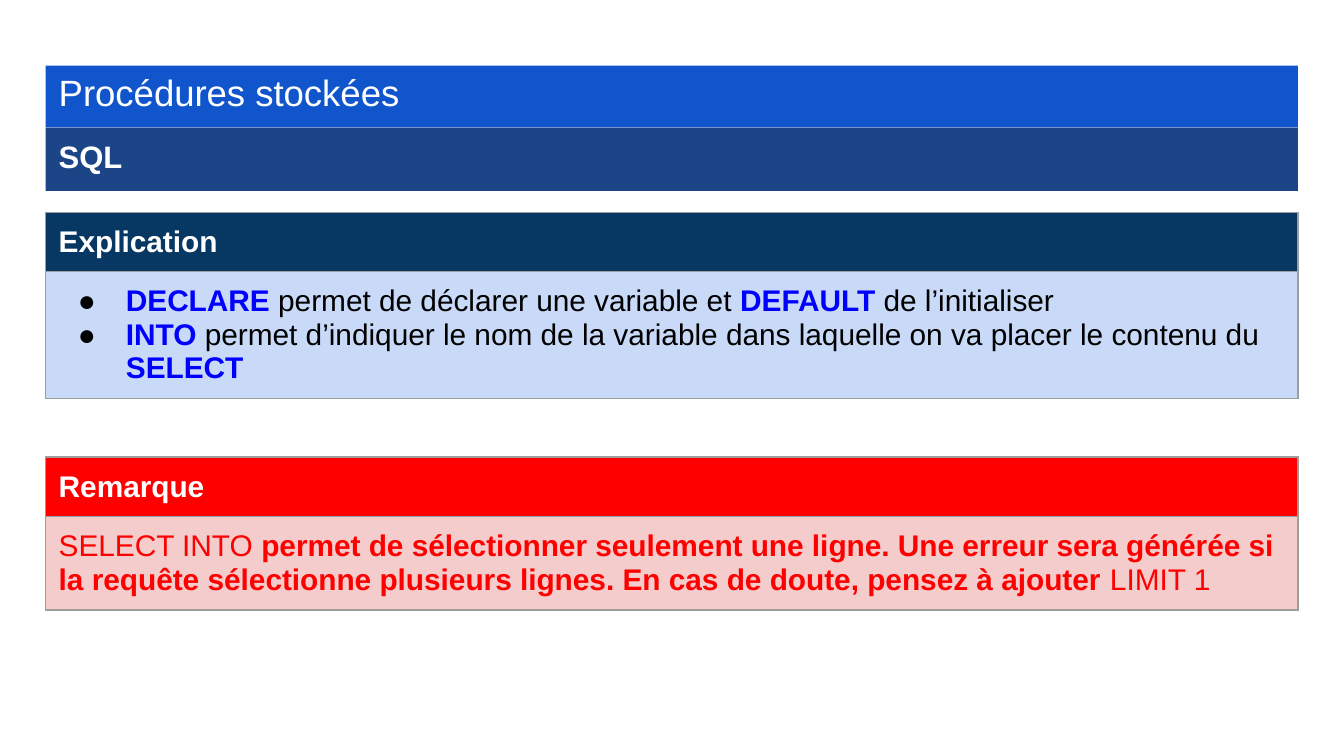
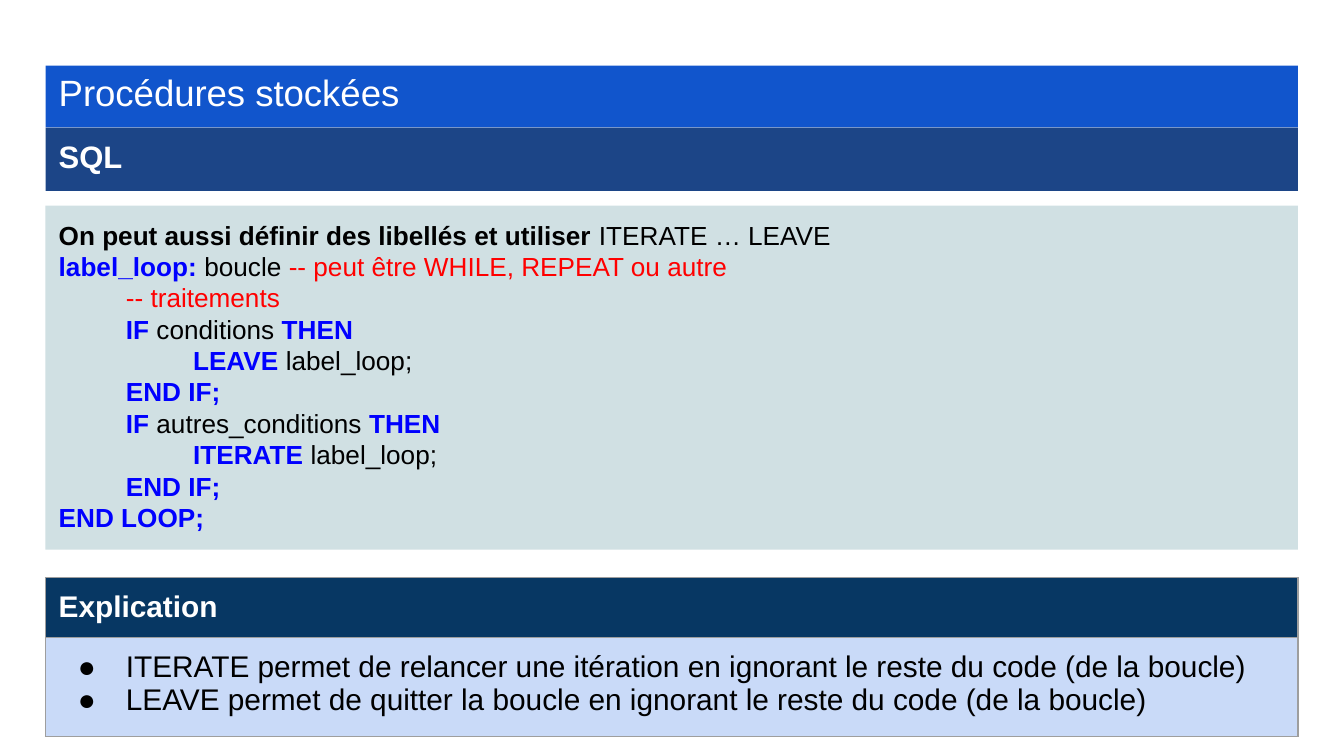
"""Build two slides on SQL stored procedures with title bands, a code panel and framed notes."""
from lxml.etree import SubElement
from pptx import Presentation
from pptx.dml.color import RGBColor
from pptx.enum.shapes import MSO_SHAPE as Shape
from pptx.enum.text import MSO_ANCHOR as Anchor, MSO_AUTO_SIZE as AutoSize, PP_ALIGN as Align
from pptx.oxml.ns import qn
from pptx.util import Cm, Pt

LEFT, WIDTH, INSET = 0.86, 23.67, 0.25
STEP, HANG = 1.27, -0.91
HEADER_HEIGHT = 1.13
BLACK, WHITE, RED, BLUE, GREY = "000000", "FFFFFF", "FF0000", "0000FF", "9E9E9E"
TITLE_BAND, SUBTITLE_BAND, CODE_PANEL = "1155CC", "1C4587", "D0E0E3"
EXPLANATION = ("073763", "C9DAF8")
REMARK = (RED, "F4CCCC")

PLAIN = {}
STRONG = {"bold": True}
KEYWORD = {"color": BLUE, "bold": True}
COMMENT = {"color": RED}
WARNING = {"color": RED, "bold": True}


def rgb(value):
    return RGBColor.from_string(value)


def add_text(para, text, size=16, color=BLACK, bold=False):
    span = para.add_run()
    span.text = text
    font = span.font
    font.name, font.size, font.bold = "Arial", Pt(size), bold
    font.color.rgb = rgb(color)


def set_margins(box):
    box.margin_left = box.margin_right = box.margin_top = box.margin_bottom = Cm(INSET)


def set_indent(para, left=0, first=0, bullet=False):
    props = para._p.get_or_add_pPr()
    props.set("marL", str(Cm(left)))
    props.set("indent", str(Cm(first)))
    if bullet:
        color = SubElement(props, qn("a:buClr"))
        SubElement(color, qn("a:srgbClr"), val=BLACK)
        SubElement(props, qn("a:buFont"), typeface="Arial")
        SubElement(props, qn("a:buChar"), char="●")
    else:
        SubElement(props, qn("a:buNone"))


def add_borders(cell):
    props = cell._tc.get_or_add_tcPr()
    for side in ("lnL", "lnR", "lnT", "lnB"):
        line = SubElement(props, qn(f"a:{side}"), w=str(Pt(0.75)))
        fill = SubElement(line, qn("a:solidFill"))
        SubElement(fill, qn("a:srgbClr"), val=GREY)


def write_lines(frame, lines, size=16, bullet=False):
    for number, (level, first, spans) in enumerate(lines):
        para = frame.add_paragraph() if number else frame.paragraphs[0]
        para.alignment = Align.LEFT
        set_indent(para, level, first, bullet)
        for text, style in spans:
            add_text(para, text, size=size, **style)


class Lesson:
    """Hold the deck, its style and the current slide."""

    def __init__(self):
        self.deck = Presentation()
        self.deck.slide_width, self.deck.slide_height = Cm(25.4), Cm(14.29)

    def start_slide(self, title, subtitle):
        self.page = self.deck.slides.add_slide(self.deck.slide_layouts[1])
        heading, body = self.page.placeholders
        self.band(heading, title, 1.24, 1.17, TITLE_BAND, 0.8, size=19.6)
        self.band(body, subtitle, 2.41, 1.2, SUBTITLE_BAND, 0.95, size=16.6, bold=True)

    def place(self, box, top, height, fill):
        box.left, box.top, box.width, box.height = Cm(LEFT), Cm(top), Cm(WIDTH), Cm(height)
        box.fill.solid()
        box.fill.fore_color.rgb = rgb(fill)
        box.line.fill.background()
        frame = box.text_frame
        frame.word_wrap, frame.auto_size = True, AutoSize.NONE
        frame.vertical_anchor = Anchor.TOP
        set_margins(frame)
        return frame

    def band(self, box, text, top, height, fill, spacing, **style):
        para = self.place(box, top, height, fill).paragraphs[0]
        para.alignment = Align.LEFT
        para.line_spacing, para.space_before = spacing, Pt(0)
        set_indent(para)
        add_text(para, text, color=WHITE, **style)

    def code(self, top, height, lines):
        box = self.page.shapes.add_shape(Shape.RECTANGLE, 0, 0, Cm(WIDTH), Cm(height))
        box.shadow.inherit = False
        write_lines(self.place(box, top, height, CODE_PANEL), lines, size=14)

    def note(self, title, top, body_height, fills, lines, bullet=False):
        heights = (HEADER_HEIGHT, body_height)
        holder = self.page.shapes.add_table(2, 1, Cm(LEFT), Cm(top), Cm(WIDTH), Cm(sum(heights)))
        table = holder.table
        table.first_row = table.horz_banding = False
        header = [(0, 0, [(title, {"color": WHITE, "bold": True})])]
        for index, content in enumerate((header, lines)):
            table.rows[index].height = Cm(heights[index])
            cell = table.cell(index, 0)
            set_margins(cell)
            add_borders(cell)
            cell.fill.solid()
            cell.fill.fore_color.rgb = rgb(fills[index])
            write_lines(cell.text_frame, content, bullet=bullet and index == 1)


def bullets(*items):
    return [(STEP, HANG, spans) for spans in items]


def branch(condition, action):
    return [
        (STEP, 0, [("IF ", KEYWORD), (condition, PLAIN), (" THEN", KEYWORD)]),
        (STEP, STEP, [(f"{action} ", KEYWORD), ("label_loop;", PLAIN)]),
        (STEP, 0, [("END IF;", KEYWORD)]),
    ]


lesson = Lesson()

lesson.start_slide("Procédures stockées", "SQL")
lesson.note("Explication", 4.01, 2.39, EXPLANATION, bullets(
    [("DECLARE", KEYWORD), (" permet de déclarer une variable et ", PLAIN),
     ("DEFAULT", KEYWORD), (" de l’initialiser", PLAIN)],
    [("INTO", KEYWORD),
     (" permet d’indiquer le nom de la variable dans laquelle on va placer le contenu du ", PLAIN),
     ("SELECT", KEYWORD)],
), bullet=True)
lesson.note("Remarque", 8.64, 1.76, REMARK, [(0, 0, [
    ("SELECT INTO ", COMMENT),
    ("permet de sélectionner seulement une ligne. Une erreur sera générée si la requête "
     "sélectionne plusieurs lignes. En cas de doute, pensez à ajouter", WARNING),
    (" LIMIT 1", COMMENT),
])])

lesson.start_slide("Procédures stockées", "SQL")
lesson.code(3.89, 6.5, [
    (0, 0, [("On peut aussi définir des libellés et utiliser ", STRONG),
            ("ITERATE … LEAVE", PLAIN)]),
    (0, 0, [("label_loop: ", KEYWORD), ("boucle ", PLAIN),
            ("-- peut être WHILE, REPEAT ou autre", COMMENT)]),
    (STEP, 0, [("-- traitements", COMMENT)]),
    *branch("conditions", "LEAVE"),
    *branch("autres_conditions", "ITERATE"),
    (0, 0, [("END LOOP;", KEYWORD)]),
])
lesson.note("Explication", 10.92, 1.87, EXPLANATION, bullets(
    [("ITERATE permet de relancer une itération en ignorant le reste du code (de la boucle)", PLAIN)],
    [("LEAVE permet de quitter la boucle en ignorant le reste du code (de la boucle)", PLAIN)],
), bullet=True)

lesson.deck.save("out.pptx")
